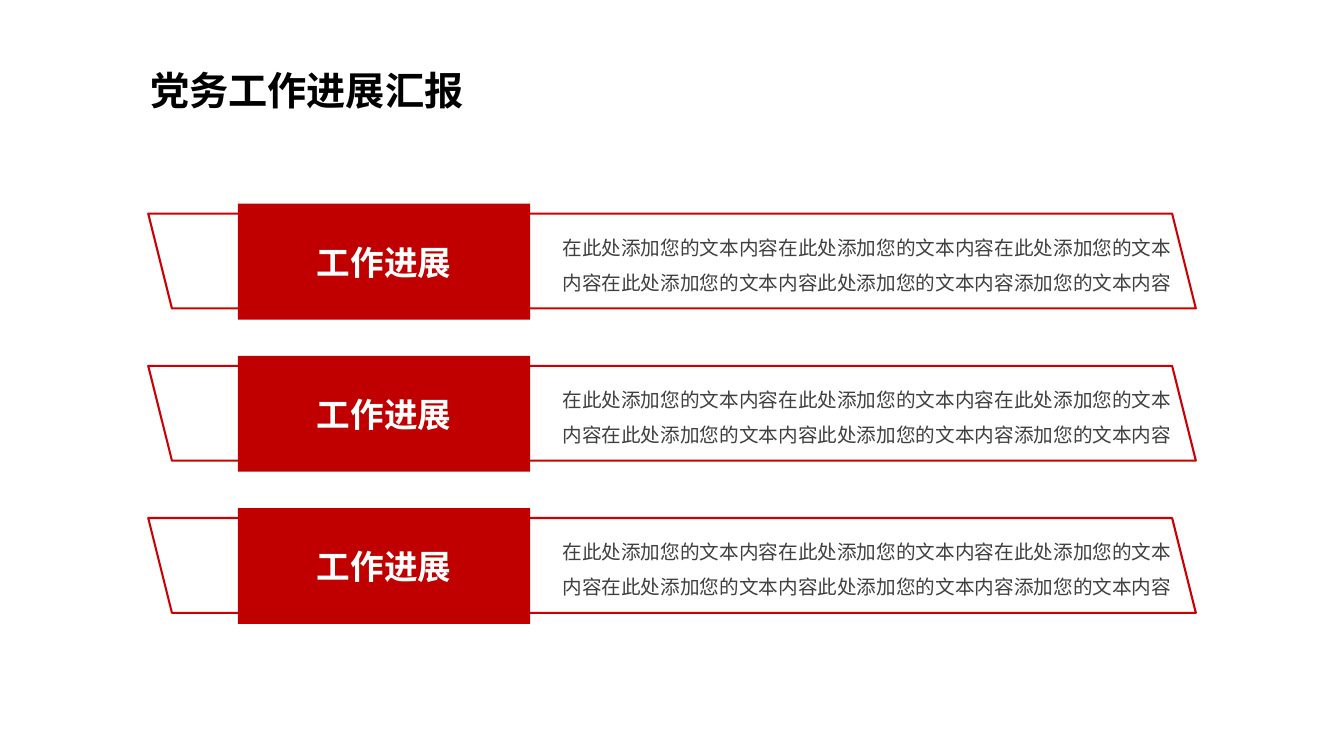
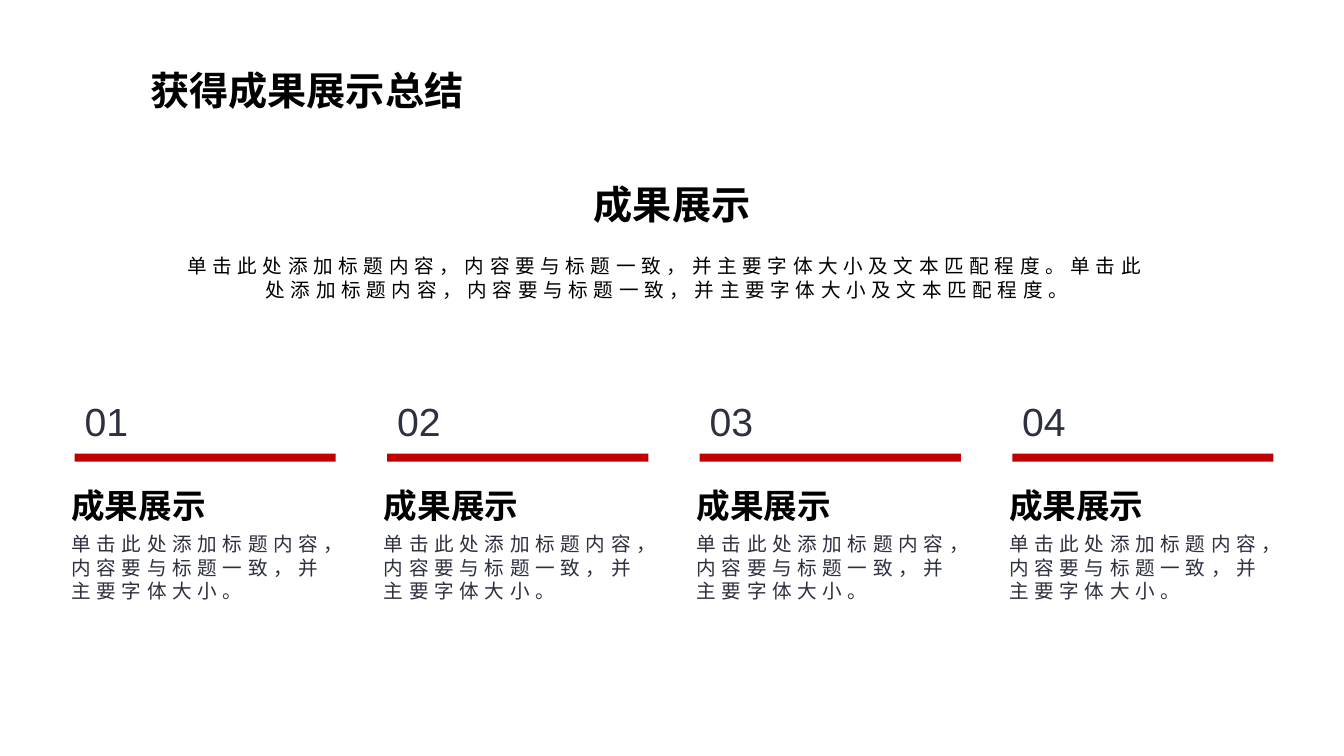
from dataclasses import dataclass

from pptx import Presentation
from pptx.dml.color import RGBColor
from pptx.enum.lang import MSO_LANGUAGE_ID
from pptx.enum.shapes import MSO_SHAPE
from pptx.enum.text import MSO_ANCHOR, MSO_AUTO_SIZE, PP_ALIGN
from pptx.util import Pt

RECTANGLE = MSO_SHAPE.RECTANGLE
PARALLELOGRAM = MSO_SHAPE.PARALLELOGRAM
LEFT, CENTER, JUSTIFY = PP_ALIGN.LEFT, PP_ALIGN.CENTER, PP_ALIGN.JUSTIFY
MIDDLE = MSO_ANCHOR.MIDDLE
FIT_SHAPE = MSO_AUTO_SIZE.SHAPE_TO_FIT_TEXT
CHINESE = MSO_LANGUAGE_ID.SIMPLIFIED_CHINESE

EMU_PER_PX = 9144
SLIDE_WIDTH, SLIDE_HEIGHT = 1333, 750


@dataclass(frozen=True)
class Theme:
    """Colours, font and type sizes shared by the slides."""

    font: str = "Arial"
    red: str = "C00000"
    outline: str = "CC0002"
    black: str = "000000"
    white: str = "FFFFFF"
    gray: str = "404040"
    slate: str = "2D303F"
    title_size: int = 28
    label_size: int = 24
    body_size: int = 14
    body_tracking: int = 4
    outline_width: float = 1.5


THEME = Theme()

PROGRESS_TITLE = "党务工作进展汇报"
PROGRESS_ROWS = [
    ("工作进展", "在此处添加您的文本内容在此处添加您的文本内容在此处添加您的文本"
     "内容在此处添加您的文本内容此处添加您的文本内容添加您的文本内容"),
] * 3
RESULTS_TITLE = "获得成果展示总结"
RESULTS_HEADING = "成果展示"
RESULTS_SUMMARY = "单击此处添加标题内容，内容要与标题一致，并主要字体大小及文本匹配程度。" * 2
RESULTS_COLUMNS = [
    (number, "成果展示", "单击此处添加标题内容，内容要与标题一致，并主要字体大小。")
    for number in ("01", "02", "03", "04")
]


def px(*lengths):
    """Turn pixel lengths into EMU."""
    return [length * EMU_PER_PX for length in lengths]


def write_text(shape, text, size=THEME.body_size, color=THEME.black, bold=False,
               align=LEFT, line_spacing=None, tracking=None):
    """Write one formatted paragraph into a shape."""
    frame = shape.text_frame
    frame.word_wrap = True
    paragraph = frame.paragraphs[0]
    paragraph.alignment = align
    if line_spacing:
        paragraph.line_spacing = line_spacing
    run = paragraph.add_run()
    run.text = text
    font = run.font
    font.name = THEME.font
    font.size = Pt(size)
    font.bold = bold
    font.color.rgb = RGBColor.from_string(color)
    font.language_id = CHINESE
    if tracking:
        run._r.get_or_add_rPr().set("spc", str(tracking * 100))


def add_text(slide, box, text, **text_format):
    """Add a wrapping text box that fits its text."""
    shape = slide.shapes.add_textbox(*px(*box))
    write_text(shape, text, **text_format)
    shape.text_frame.auto_size = FIT_SHAPE


def add_block(slide, box):
    """Add a solid red rectangle."""
    shape = slide.shapes.add_shape(RECTANGLE, *px(*box))
    shape.shadow.inherit = False
    shape.fill.solid()
    shape.fill.fore_color.rgb = RGBColor.from_string(THEME.red)
    shape.line.fill.background()
    return shape


def add_slanted_frame(slide, box):
    """Add an outlined parallelogram that leans left."""
    shape = slide.shapes.add_shape(PARALLELOGRAM, *px(*box))
    shape.shadow.inherit = False
    shape.fill.background()
    shape.line.color.rgb = RGBColor.from_string(THEME.outline)
    shape.line.width = Pt(THEME.outline_width)
    shape._element.spPr.get_or_add_xfrm().set("flipV", "1")


def add_titled_slide(presentation, title):
    """Add a blank slide with the shared title."""
    slide = presentation.slides.add_slide(presentation.slide_layouts[6])
    add_text(slide, (139, 61, 338, 57), title, size=THEME.title_size,
             bold=True, align=JUSTIFY)
    return slide


def add_progress_row(slide, box, label, body):
    """Place a slanted frame, its red label and its body text."""
    left, top, width, height = box
    add_slanted_frame(slide, (left, top + 10, width, height - 21))
    block = add_block(slide, (left + 89, top, 290, height))
    write_text(block, label, size=THEME.label_size, color=THEME.white,
               bold=True, align=CENTER)
    block.text_frame.vertical_anchor = MIDDLE
    add_text(slide, (left + 401, top + 15, 627, 81), body,
             color=THEME.gray, line_spacing=1.5)


def add_result_column(slide, box, number, heading, body):
    """Place a number, red bar, heading and body in one column."""
    left, top, width, height = box
    bar_left = left + 13
    add_text(slide, (bar_left, top, 80, 57), number,
             size=THEME.title_size, color=THEME.slate)
    add_block(slide, (bar_left, top + 61, width - 13, 8))
    add_text(slide, (left, top + 87, 179, 50), heading,
             size=THEME.label_size, bold=True)
    add_text(slide, (left, top + 134, width, height - 134), body,
             color=THEME.slate, tracking=THEME.body_tracking)


def build_progress_slide(presentation):
    """Build the slide of stacked progress rows."""
    slide = add_titled_slide(presentation, PROGRESS_TITLE)
    row_step = 151
    for index, (label, body) in enumerate(PROGRESS_ROWS):
        add_progress_row(slide, (147, 202 + index * row_step, 1039, 115), label, body)


def build_results_slide(presentation):
    """Build the slide with a summary above four result columns."""
    slide = add_titled_slide(presentation, RESULTS_TITLE)
    add_text(slide, (537, 174, 259, 57), RESULTS_HEADING,
             size=THEME.title_size, bold=True, align=CENTER)
    add_text(slide, (166, 247, 991, 57), RESULTS_SUMMARY,
             align=CENTER, tracking=THEME.body_tracking)
    column_step = 310
    for index, column in enumerate(RESULTS_COLUMNS):
        add_result_column(slide, (61 + index * column_step, 389, 272, 215), *column)


def main():
    """Build and save the presentation."""
    presentation = Presentation()
    presentation.slide_width, presentation.slide_height = px(SLIDE_WIDTH, SLIDE_HEIGHT)
    build_progress_slide(presentation)
    build_results_slide(presentation)
    presentation.save("out.pptx")


if __name__ == "__main__":
    main()
